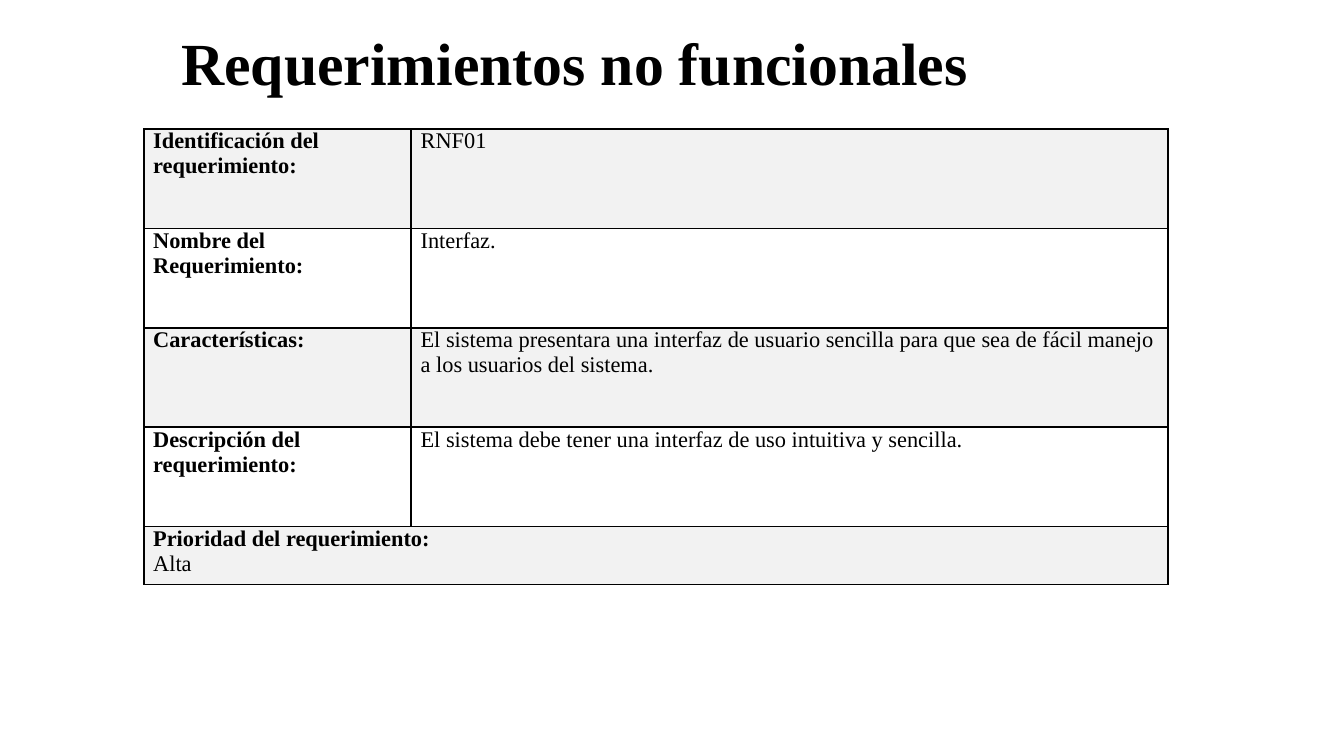
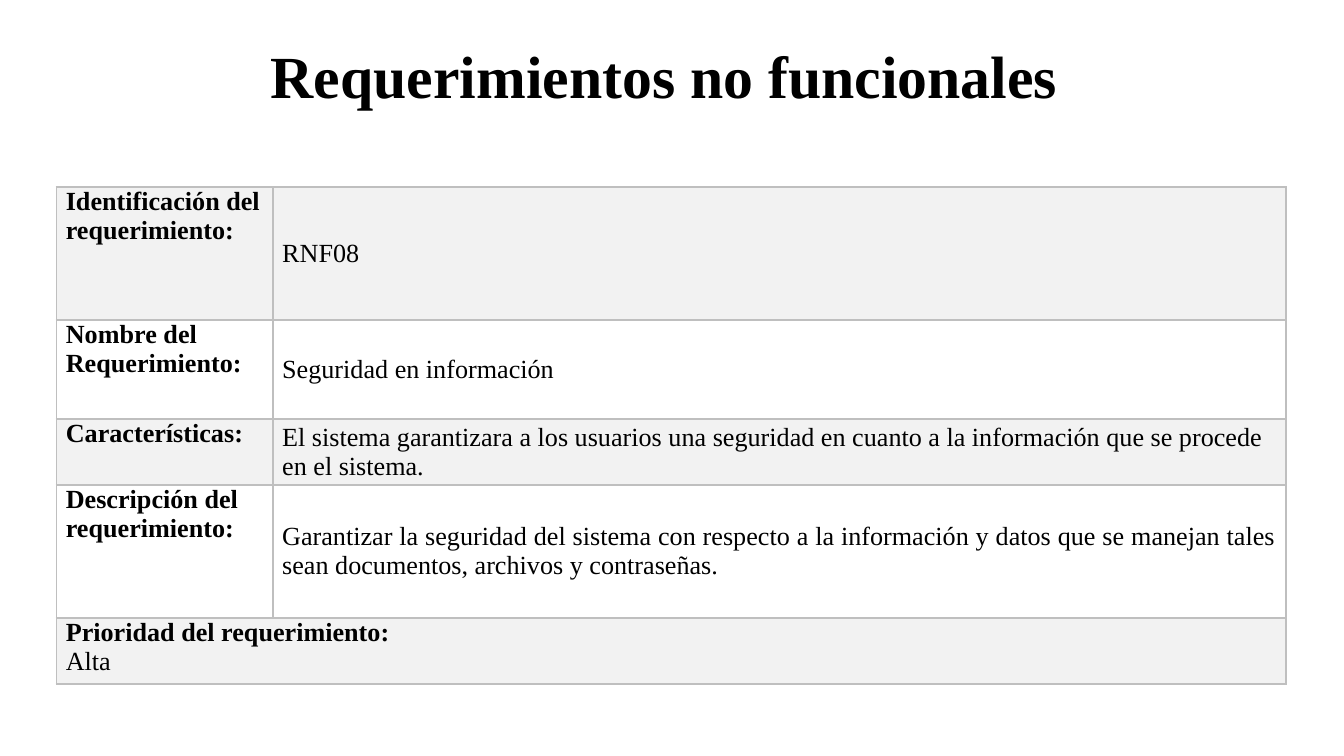
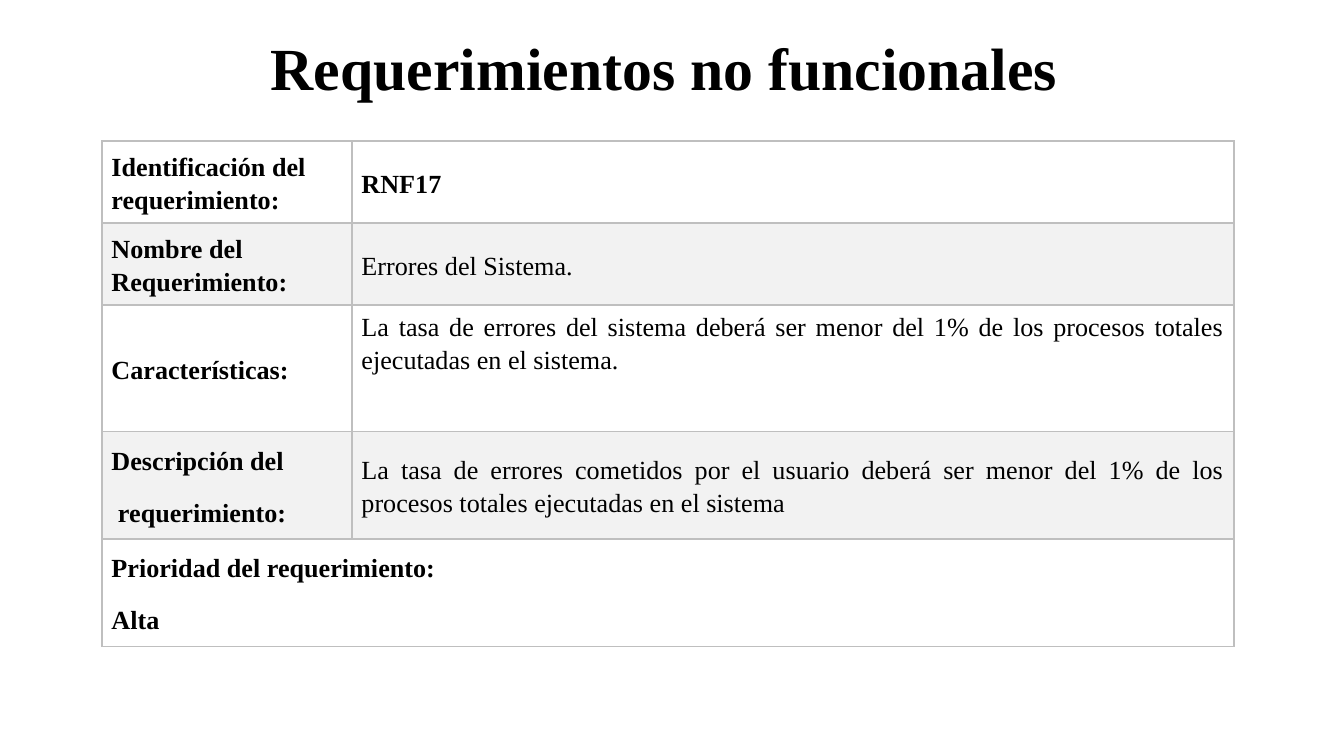
import dataclasses

import lxml.etree
import pptx
import pptx.dml.color
import pptx.enum.text
import pptx.oxml.ns
import pptx.util

Inches = pptx.util.Inches
Pt = pptx.util.Pt
Align = pptx.enum.text.PP_ALIGN
Anchor = pptx.enum.text.MSO_ANCHOR


@dataclasses.dataclass(frozen=True)
class Theme:
    font: str = "Times New Roman"
    ink: str = "000000"
    band: str = "F2F2F2"
    gray: str = "BFBFBF"
    head: int = 32
    body: int = 14
    small: int = 12
    rule: int = 1
    inset: float = 0.07
    drop: float = 0.03


@dataclasses.dataclass
class Sheet:
    """One requirement: its boxes, grid, wording and cell style."""
    title: tuple
    box: tuple
    cols: tuple
    rows: tuple
    values: tuple
    size: int
    line: str
    labels: tuple
    shaded: int = 0            # parity of the shaded rows
    anchors: tuple = (Anchor.TOP, Anchor.MIDDLE)
    justify: tuple = (3,)      # rows whose value is justified
    top: tuple = ()            # rows whose value stays near the top
    strong: tuple = ()         # rows whose value is bold
    airy: bool = False         # wider line and paragraph spacing


THEME = Theme()
WIDTH = 10
TITLE = "Requerimientos no funcionales "
PRIORITY = "Prioridad del requerimiento:"
LEVEL = "Alta"
LABELS = (
    "Identificación del requerimiento:",
    "Nombre del Requerimiento:",
    "Características:",
    "Descripción del requerimiento:",
)

SHEETS = (
    Sheet(
        title=(0.06, 0.14, 8.55, 0.64),
        box=(1.07, 0.96, 7.62, 3.4),
        cols=(1.99, 5.63),
        rows=(0.74, 0.74, 0.74, 0.74, 0.43),
        values=(
            "RNF01",
            "Interfaz.",
            "El sistema presentara una interfaz de usuario sencilla para que "
            "sea de fácil manejo a los usuarios del sistema.",
            "El sistema debe tener una interfaz de uso intuitiva y sencilla.",
        ),
        size=THEME.small,
        line=THEME.ink,
        labels=LABELS,
        anchors=(Anchor.TOP, Anchor.TOP),
    ),
    Sheet(
        title=(0.31, 0.24, 9.38, 0.64),
        box=(0.42, 1.39, 9.15, 3.7),
        cols=(1.61, 7.54),
        rows=(0.99, 0.74, 0.49, 0.99, 0.49),
        values=(
            "RNF08",
            "Seguridad en información",
            "El sistema garantizara a los usuarios una seguridad en cuanto a "
            "la información que se procede en el sistema.",
            "Garantizar la seguridad del sistema con respecto a la información "
            "y datos que se manejan tales sean documentos, archivos y "
            "contraseñas.",
        ),
        size=THEME.body,
        line=THEME.gray,
        labels=LABELS,
    ),
    Sheet(
        title=(0.57, 0.18, 8.86, 0.64),
        box=(0.76, 1.05, 8.41, 3.77),
        cols=(1.86, 6.56),
        rows=(0.61, 0.61, 0.94, 0.8, 0.8),
        values=(
            "RNF17",
            "Errores del Sistema.",
            "La tasa de errores del sistema deberá ser menor del 1% de los "
            "procesos totales ejecutadas en el sistema.",
            "La tasa de errores cometidos por el usuario deberá ser menor del "
            "1% de los procesos totales ejecutadas en el sistema",
        ),
        size=THEME.body,
        line=THEME.gray,
        labels=LABELS[:3] + ("Descripción del\n requerimiento:",),
        shaded=1,
        anchors=(Anchor.MIDDLE, Anchor.MIDDLE),
        justify=(2, 3),
        top=(2,),
        strong=(0, 4),
        airy=True,
    ),
)


def color(code):
    return pptx.dml.color.RGBColor.from_string(code)


def style(para, size, bold, align=Align.LEFT):
    para.alignment = align
    for run in para.runs:
        run.font.name = THEME.font
        run.font.size = Pt(size)
        run.font.bold = bold
        run.font.color.rgb = color(THEME.ink)


def border(cell, code):
    """Draw the four sides; they must precede the fill in the cell."""
    props = cell._tc.get_or_add_tcPr()
    name = pptx.oxml.ns.qn
    for place, side in enumerate(("a:lnL", "a:lnR", "a:lnT", "a:lnB")):
        line = lxml.etree.Element(name(side), w=str(Pt(THEME.rule)))
        fill = lxml.etree.SubElement(line, name("a:solidFill"))
        lxml.etree.SubElement(fill, name("a:srgbClr"), val=code)
        props.insert(place, line)


def add_title(slide, box):
    shape = slide.shapes.add_textbox(*map(Inches, box))
    frame = shape.text_frame
    frame.word_wrap = True
    frame.text = TITLE
    style(frame.paragraphs[0], THEME.head, True, Align.CENTER)


def fill_cell(cell, text, sheet, row, col):
    """Write one cell; the first paragraph of the last row is its label."""
    value = col == 1
    raised = value and row in sheet.top
    cell.text_frame.text = text
    cell.margin_left = cell.margin_right = Inches(THEME.inset)
    cell.margin_top = Inches(THEME.drop if raised else 0)
    cell.margin_bottom = 0
    cell.vertical_anchor = Anchor.TOP if raised else sheet.anchors[col]
    align = Align.JUSTIFY if value and row in sheet.justify else Align.LEFT
    for para in cell.text_frame.paragraphs:
        plain = value or para.text == LEVEL
        style(para, sheet.size, not plain or row in sheet.strong, align)
        if sheet.airy:
            para.line_spacing = 1.15
            para.space_after = Pt(10)


def add_grid(slide, sheet):
    count = len(sheet.rows)
    shape = slide.shapes.add_table(count, 2, *map(Inches, sheet.box))
    table = shape.table
    table.first_row = table.horz_banding = False
    for col, width in zip(table.columns, sheet.cols):
        col.width = Inches(width)
    for row, height in zip(table.rows, sheet.rows):
        row.height = Inches(height)

    # Label and value rows, then the priority across both columns
    pairs = list(zip(sheet.labels, sheet.values))
    pairs.append((f"{PRIORITY}\n{LEVEL}",))
    last = count - 1
    table.cell(last, 0).merge(table.cell(last, 1))
    for row, texts in enumerate(pairs):
        for col, text in enumerate(texts):
            fill_cell(table.cell(row, col), text, sheet, row, col)

    # Bands and borders
    for row in range(count):
        for col in range(2):
            cell = table.cell(row, col)
            if row % 2 == sheet.shaded:
                cell.fill.solid()
                cell.fill.fore_color.rgb = color(THEME.band)
            else:
                cell.fill.background()
            border(cell, sheet.line)


def main():
    deck = pptx.Presentation()
    # Widescreen page, 16 to 9
    deck.slide_width = Inches(WIDTH)
    deck.slide_height = Inches(WIDTH * 9 / 16)
    for sheet in SHEETS:
        slide = deck.slides.add_slide(deck.slide_layouts[6])
        add_title(slide, sheet.title)
        add_grid(slide, sheet)
    deck.save("out.pptx")


if __name__ == "__main__":
    main()
